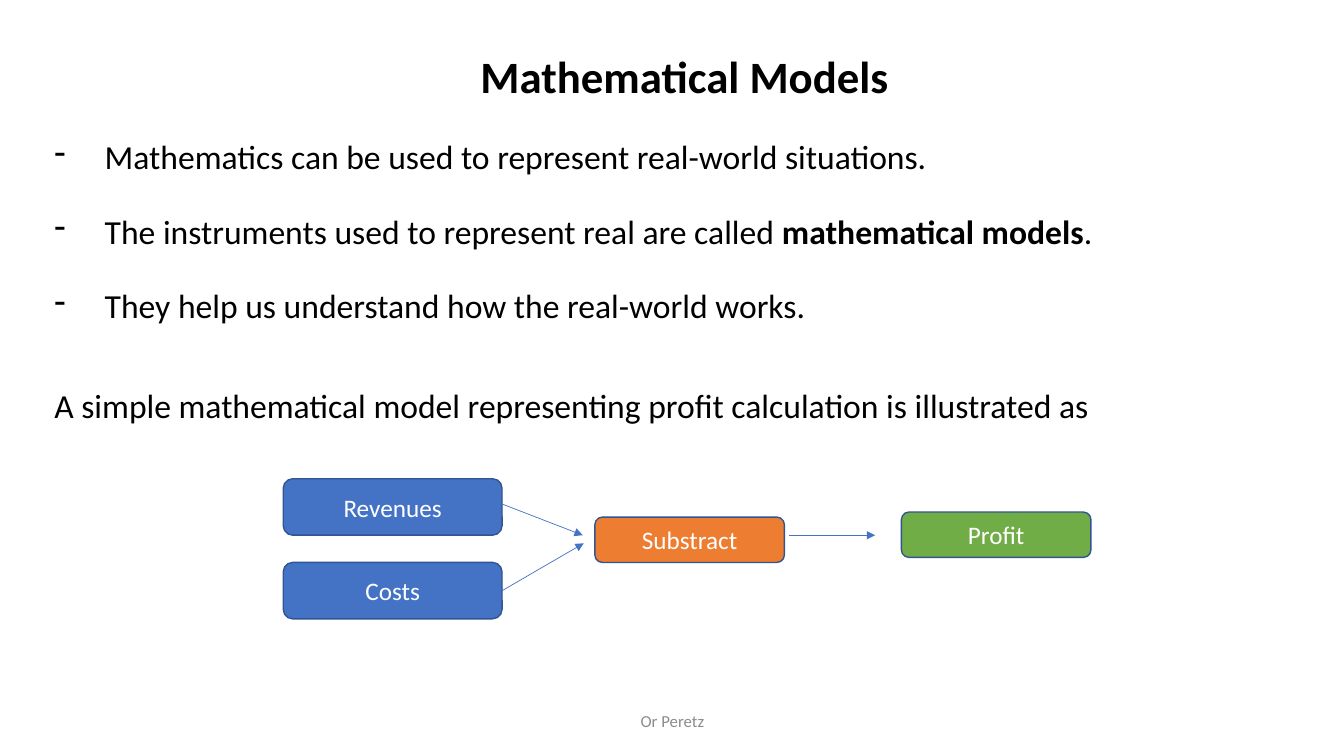
from pptx import Presentation
from pptx.dml.color import RGBColor
from pptx.enum.shapes import MSO_CONNECTOR as CONN, MSO_SHAPE as SHAPE
from pptx.enum.text import MSO_ANCHOR as ANCHOR, PP_ALIGN as ALIGN
from pptx.oxml.ns import qn
from pptx.util import Inches, Pt
from lxml.etree import SubElement


def rgb(value):
    return RGBColor.from_string(value)


def box(*lengths):
    return [Inches(v) for v in lengths]


class Deck:
    """Holds the style and the current slide."""
    font = "Calibri"
    black, white, grey = "000000", "FFFFFF", "8C8C8C"
    blue, orange, green, outline = "4472C4", "ED7D31", "70AD47", "325491"

    def __init__(self):
        self.prs = Presentation()
        self.prs.slide_width, self.prs.slide_height = box(13.33, 7.5)
        self.s = self.prs.slides.add_slide(self.prs.slide_layouts[5])

    def set_text(self, p, text, size=24, color=black, align=ALIGN.LEFT,
                 spacing=1.0, before=0, bullet=None, bold=False):
        """Fill a paragraph; parts between asterisks turn bold."""
        p.alignment, p.line_spacing, p.space_before = align, spacing, Pt(before)
        if bullet:
            pPr = p._p.get_or_add_pPr()
            pPr.set("marL", str(Inches(0.5)))
            pPr.set("indent", str(Inches(-0.5)))
            SubElement(pPr, qn("a:buChar")).set("char", bullet)
        for i, part in enumerate(text.split("*")):
            r = p.add_run()
            r.text = part
            r.font.name, r.font.size = self.font, Pt(size)
            r.font.bold = bold or i % 2 == 1
            r.font.color.rgb = rgb(color)

    def title(self, text, *at):
        sp = self.s.shapes.title
        sp.left, sp.top, sp.width, sp.height = box(*at)
        sp.text_frame.vertical_anchor = ANCHOR.MIDDLE
        self.set_text(sp.text_frame.paragraphs[0], text, size=32, bold=True,
                      align=ALIGN.CENTER)

    def text(self, paragraphs, *at, anchor=ANCHOR.TOP):
        """Add a text box from (text, format) pairs."""
        tf = self.s.shapes.add_textbox(*box(*at)).text_frame
        tf.word_wrap, tf.vertical_anchor = True, anchor
        for i, (text, style) in enumerate(paragraphs):
            p = tf.add_paragraph() if i else tf.paragraphs[0]
            self.set_text(p, text, **style)

    def node(self, text, fill, *at):
        sp = self.s.shapes.add_shape(SHAPE.ROUNDED_RECTANGLE, *box(*at))
        sp.shadow.inherit = False
        sp.fill.solid()
        sp.fill.fore_color.rgb = rgb(fill)
        sp.line.color.rgb = rgb(self.outline)
        sp.line.width = Pt(1)
        sp.text_frame.vertical_anchor = ANCHOR.MIDDLE
        self.set_text(sp.text_frame.paragraphs[0], text, size=18,
                      color=self.white, align=ALIGN.CENTER)

    def arrow(self, *ends):
        c = self.s.shapes.add_connector(CONN.STRAIGHT, *box(*ends))
        c.line.color.rgb = rgb(self.blue)
        c.line.width = Pt(0.5)
        spPr = c._element.spPr
        SubElement(spPr.get_or_add_ln(), qn("a:tailEnd")).set("type", "triangle")
        SubElement(spPr, qn("a:effectLst"))


def main():
    d = Deck()
    d.title("Mathematical Models", 0.44, 0.45, 12.7, 0.6)

    points = ["Mathematics can be used to represent real-world situations.",
              "The instruments used to represent real are called *mathematical models*.",
              "They help us understand how the real-world works."]
    body = [(text, dict(bullet="-", spacing=1.5, before=10 if i else 0))
            for i, text in enumerate(points)]
    body.append(("A simple mathematical model representing profit calculation "
                 "is illustrated as", dict(spacing=0.9, before=46)))
    d.text(body, 0.44, 1.1, 12.7, 3.3)
    d.text([("Or Peretz", dict(size=12, color=d.grey, align=ALIGN.CENTER))],
           4.42, 6.95, 4.5, 0.4, anchor=ANCHOR.MIDDLE)

    for i, name in enumerate(["Revenues", "Costs"]):
        d.node(name, d.blue, 2.81, 4.75 + 0.83 * i, 2.17, 0.56)
    d.node("Substract", d.orange, 5.9, 5.13, 1.88, 0.45)
    d.node("Profit", d.green, 8.94, 5.08, 1.88, 0.45)
    for ends in [(4.98, 5, 5.78, 5.31), (4.98, 5.86, 5.79, 5.39),
                 (7.83, 5.31, 8.68, 5.31)]:
        d.arrow(*ends)

    d.prs.save("out.pptx")


if __name__ == "__main__":
    main()
